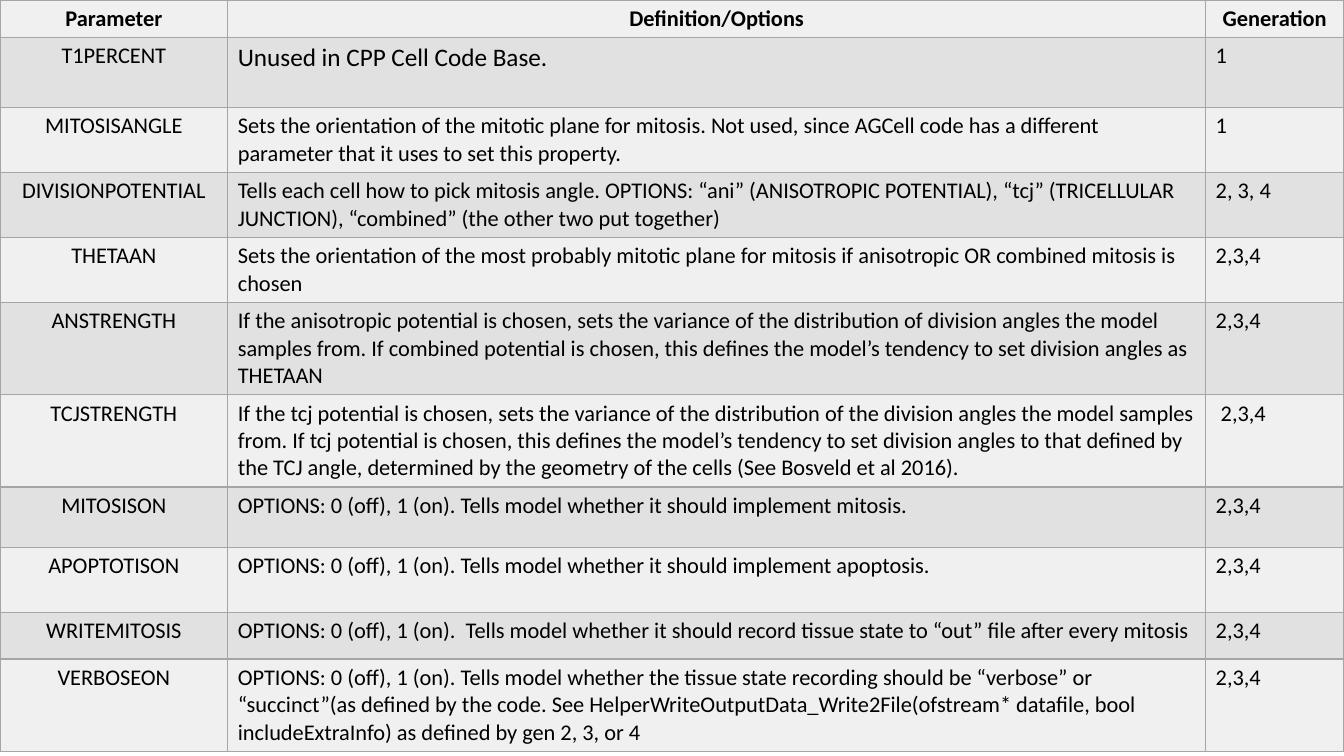
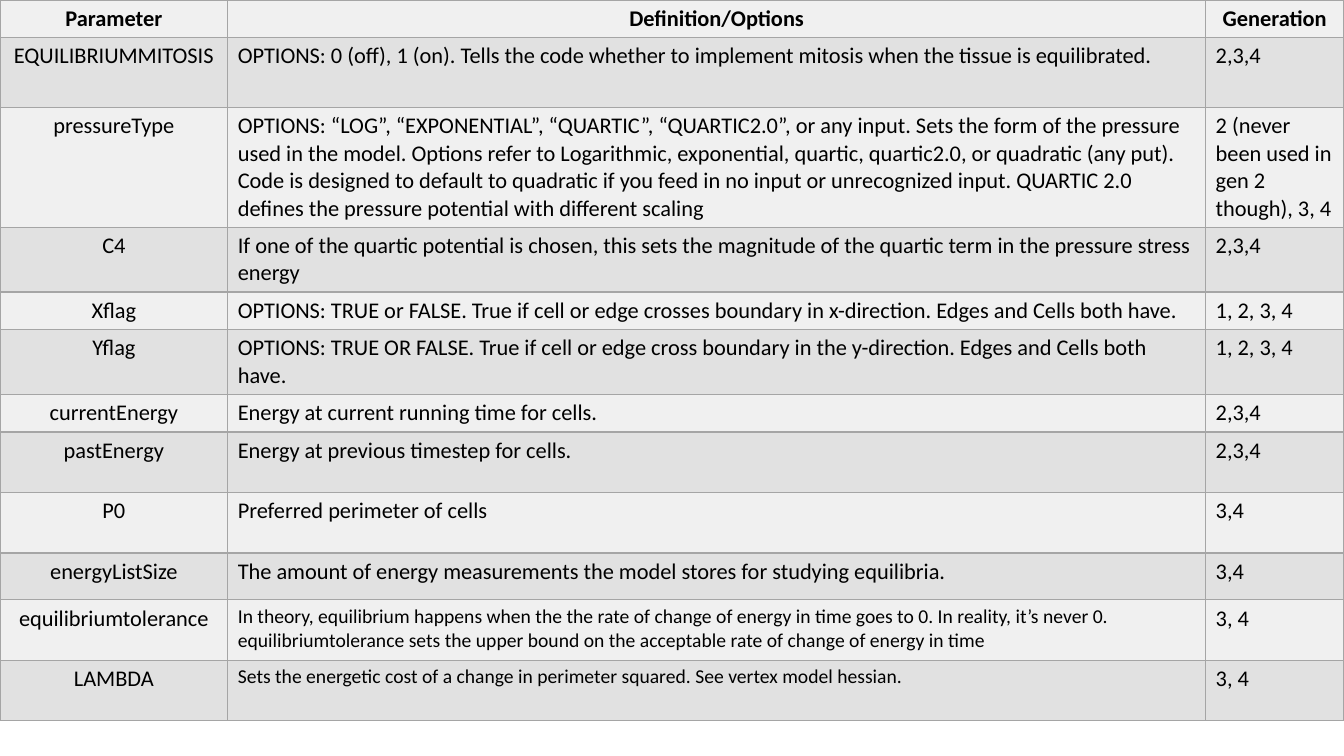
from lxml import etree
from pptx import Presentation
from pptx.dml.color import RGBColor
from pptx.enum import text
from pptx.oxml import ns
from pptx.util import Pt

BLACK = RGBColor(0x00, 0x00, 0x00)
LIGHT = RGBColor(0xF0, 0xF0, 0xF0)
SHADE = RGBColor(0xE1, 0xE1, 0xE1)
BORDER = RGBColor(0xA5, 0xA5, 0xA5)

HEADER = (26.5, "Parameter", "Definition/Options", "Generation")
COLUMN_WIDTHS = (162.7, 698.5, 98.8)

MITOSIS_PARAMETERS = [
    (50, "T1PERCENT", "Unused in CPP Cell Code Base.", "1", 18),
    (46.4, "MITOSISANGLE",
     "Sets the orientation of the mitotic plane for mitosis. Not used, since AGCell code "
     "has a different parameter that it uses to set this property.", "1"),
    (46.4, "DIVISIONPOTENTIAL",
     "Tells each cell how to pick mitosis angle. OPTIONS: “ani” (ANISOTROPIC POTENTIAL), "
     "“tcj” (TRICELLULAR JUNCTION), “combined” (the other two put together)", "2, 3, 4"),
    (46.4, "THETAAN",
     "Sets the orientation of the most probably mitotic plane for mitosis if anisotropic "
     "OR combined mitosis is chosen", "2,3,4"),
    (66, "ANSTRENGTH",
     "If the anisotropic potential is chosen, sets the variance of the distribution of "
     "division angles the model samples from. If combined potential is chosen, this defines "
     "the model’s tendency to set division angles as THETAAN", "2,3,4"),
    (66, "TCJSTRENGTH",
     "If the tcj potential is chosen, sets the variance of the distribution of the division "
     "angles the model samples from. If tcj potential is chosen, this defines the model’s "
     "tendency to set division angles to that defined by the TCJ angle, determined by the "
     "geometry of the cells (See Bosveld et al 2016).", " 2,3,4"),
    (43.2, "MITOSISON",
     "OPTIONS: 0 (off), 1 (on). Tells model whether it should implement mitosis.", "2,3,4"),
    (46.4, "APOPTOTISON",
     "OPTIONS: 0 (off), 1 (on). Tells model whether it should implement apoptosis.", "2,3,4"),
    (33.3, "WRITEMITOSIS",
     "OPTIONS: 0 (off), 1 (on).  Tells model whether it should record tissue state to “out” "
     "file after every mitosis", "2,3,4"),
    (66, "VERBOSEON",
     "OPTIONS: 0 (off), 1 (on). Tells model whether the tissue state recording should be "
     "“verbose” or “succinct”(as defined by the code. See "
     "HelperWriteOutputData_Write2File(ofstream* datafile, bool includeExtraInfo) as defined "
     "by gen 2, 3, or 4", "2,3,4"),
]

ENERGY_PARAMETERS = [
    (50, "EQUILIBRIUMMITOSIS",
     "OPTIONS: 0 (off), 1 (on). Tells the code whether to implement mitosis when the tissue "
     "is equilibrated.", "2,3,4"),
    (85.3, "pressureType",
     "OPTIONS: “LOG”, “EXPONENTIAL”, “QUARTIC”, “QUARTIC2.0”, or any input. Sets the form of "
     "the pressure used in the model. Options refer to Logarithmic, exponential, quartic, "
     "quartic2.0, or quadratic (any put). Code is designed to default to quadratic if you "
     "feed in no input or unrecognized input. QUARTIC 2.0 defines the pressure potential "
     "with different scaling", "2 (never been used in gen 2 though), 3, 4"),
    (46.4, "C4",
     "If one of the quartic potential is chosen, this sets the magnitude of the quartic term "
     "in the pressure stress energy", "2,3,4"),
    (26.7, "Xflag",
     "OPTIONS: TRUE or FALSE. True if cell or edge crosses boundary in x-direction. Edges "
     "and Cells both have.", "1, 2, 3, 4"),
    (46.4, "Yflag",
     "OPTIONS: TRUE OR FALSE. True if cell or edge cross boundary in the y-direction. Edges "
     "and Cells both have.", "1, 2, 3, 4"),
    (26.7, "currentEnergy", "Energy at current running time for cells.", "2,3,4"),
    (43.2, "pastEnergy", "Energy at previous timestep for cells.", "2,3,4"),
    (43.2, "P0", "Preferred perimeter of cells", "3,4"),
    (33.5, "energyListSize",
     "The amount of energy measurements the model stores for studying equilibria.", "3,4"),
    (43.2, "equilibriumtolerance",
     "In theory, equilibrium happens when the the rate of change of energy in time goes to "
     "0. In reality, it’s never 0. equilibriumtolerance sets the upper bound on the "
     "acceptable rate of change of energy in time", "3, 4", 14),
    (43.2, "LAMBDA",
     "Sets the energetic cost of a change in perimeter squared. See vertex model hessian.",
     "3, 4", 14),
]


class Deck:
    """Builds slides of parameter tables in one shared style."""

    font = "Calibri"
    size = 16

    def __init__(self):
        self.prs = Presentation()
        self.prs.slide_width, self.prs.slide_height = Pt(960), Pt(540)
        self.s = None

    def slide(self):
        self.s = self.prs.slides.add_slide(self.prs.slide_layouts[6])

    def border(self, cell):
        tc_pr = cell._tc.get_or_add_tcPr()
        for side in ("lnL", "lnR", "lnT", "lnB"):
            ln = etree.SubElement(tc_pr, ns.qn("a:" + side), w=str(Pt(1)))
            fill = etree.SubElement(ln, ns.qn("a:solidFill"))
            etree.SubElement(fill, ns.qn("a:srgbClr"), val=str(BORDER))

    def cell(self, cell, words, color, size, bold, centered):
        self.border(cell)
        cell.fill.solid()
        cell.fill.fore_color.rgb = color
        p = cell.text_frame.paragraphs[0]
        p.text = words
        p.alignment = text.PP_ALIGN.CENTER if centered else text.PP_ALIGN.LEFT
        p.font.name, p.font.size, p.font.bold = self.font, Pt(size), bold
        p.font.color.rgb = BLACK

    def table(self, parameters):
        rows = [HEADER, *parameters]
        height = sum(row[0] for row in rows)
        table = self.s.shapes.add_table(
            len(rows), len(COLUMN_WIDTHS), 0, 0, Pt(sum(COLUMN_WIDTHS)), Pt(height)).table
        table.first_row = table.horz_banding = False
        for column, width in zip(table.columns, COLUMN_WIDTHS):
            column.width = Pt(width)
        for i, (row_height, name, definition, generation, *size) in enumerate(rows):
            table.rows[i].height = Pt(row_height)
            for j, words in enumerate((name, definition, generation)):
                self.cell(table.cell(i, j), words, SHADE if i % 2 else LIGHT,
                          size[0] if size and j == 1 else self.size,
                          bold=i == 0, centered=i == 0 or j == 0)


def main():
    deck = Deck()
    for parameters in (MITOSIS_PARAMETERS, ENERGY_PARAMETERS):
        deck.slide()
        deck.table(parameters)
    deck.prs.save("out.pptx")


if __name__ == "__main__":
    main()
